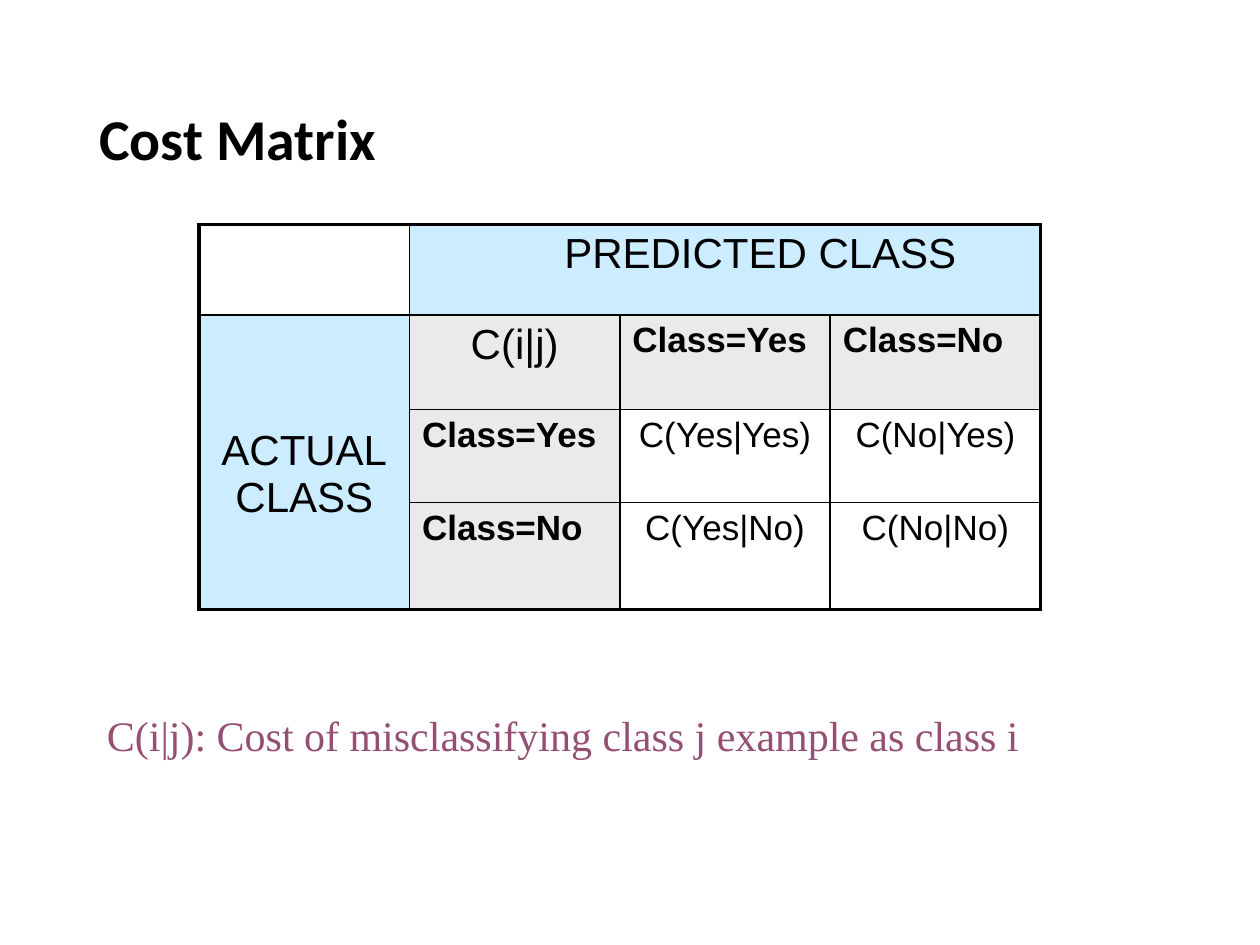
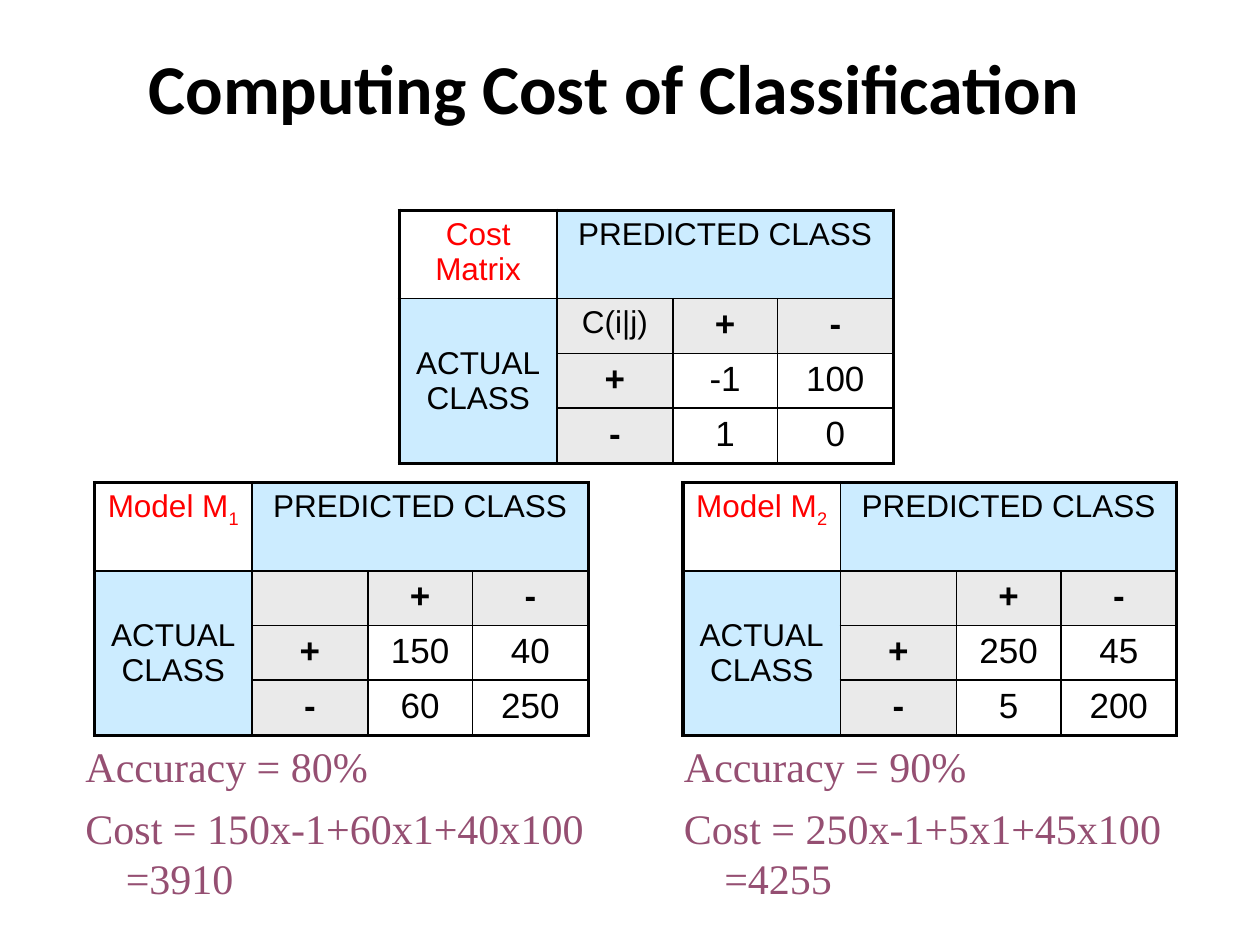
"""Builds two slides on cost matrices and the cost of classification."""
from lxml import etree
from pptx import Presentation
from pptx.dml.color import RGBColor
from pptx.enum import text
from pptx.oxml.ns import qn
from pptx.util import Inches, Pt

BLACK = RGBColor(0x00, 0x00, 0x00)
RED = RGBColor(0xFF, 0x00, 0x00)
PURPLE = RGBColor(0x95, 0x4F, 0x72)
CLASS_BLUE = RGBColor(0xCC, 0xEC, 0xFF)
HEADER_GRAY = RGBColor(0xEA, 0xEA, 0xEA)
TITLE_FONT, MATRIX_FONT, NOTE_FONT = "Calibri", "Arial", "Times New Roman"
OUTER, INNER = 2.25, 1
LEFT, CENTER = text.PP_ALIGN.LEFT, text.PP_ALIGN.CENTER
MIDDLE = text.MSO_ANCHOR.MIDDLE

SMALL_COLS = (1.25, 0.92, 0.83, 0.92)
SMALL_ROWS = (0.7, 0.43, 0.43, 0.44)


class Deck:
    """Holds the presentation, its style and the current slide."""

    def __init__(self):
        self.prs = Presentation()
        self.prs.slide_width, self.prs.slide_height = Inches(10), Inches(7.5)
        self.slide = None

    def new_slide(self):
        self.slide = self.prs.slides.add_slide(self.prs.slide_layouts[6])

    def run(self, paragraph, words, font, size, color=BLACK, bold=False):
        run = paragraph.add_run()
        run.text = words
        run.font.name, run.font.size = font, Pt(size)
        run.font.bold, run.font.color.rgb = bold, color
        return run

    def frame(self, left, top, width, height):
        box = self.slide.shapes.add_textbox(*map(Inches, (left, top, width, height)))
        box.text_frame.word_wrap = True
        return box.text_frame

    def title(self, words, size, *place):
        frame = self.frame(*place)
        frame.vertical_anchor = MIDDLE
        heading = frame.paragraphs[0]
        heading.line_spacing = 0.9
        self.run(heading, words, TITLE_FONT, size, bold=True)

    def notes(self, lines, *place):
        frame = self.frame(*place)
        for index, line in enumerate(lines):
            note = frame.add_paragraph() if index else frame.paragraphs[0]
            note.space_before, note.space_after = Pt(2.4), Pt(4)
            hanging = note._p.get_or_add_pPr()
            hanging.set("marL", str(Inches(0.32)))
            hanging.set("indent", str(-Inches(0.32)))
            self.run(note, line, NOTE_FONT, 24, PURPLE)

    def borders(self, cell, row, col):
        last_row = row + cell.span_height - 1 if cell.is_merge_origin else row
        last_col = col + cell.span_width - 1 if cell.is_merge_origin else col
        outside = {"L": col == 0, "R": last_col == 3, "T": row == 0, "B": last_row == 3}
        properties = cell._tc.get_or_add_tcPr()
        for index, (side, outer) in enumerate(outside.items()):
            line = etree.Element(qn(f"a:ln{side}"), w=str(Pt(OUTER if outer else INNER)))
            fill = etree.SubElement(line, qn("a:solidFill"))
            etree.SubElement(fill, qn("a:srgbClr"), val=str(BLACK))
            properties.insert(index, line)

    def matrix(self, left, top, cols, rows, grid, label_size, corner="", subscript="",
               corner_label="", header_align=CENTER):
        """Draws a 4 by 4 class matrix; grid maps each actual class to its values."""
        table = self.slide.shapes.add_table(
            4, 4, *map(Inches, (left, top, sum(cols), sum(rows)))).table
        table.first_row = table.horz_banding = False
        for column, width in zip(table.columns, cols):
            column.width = Inches(width)
        for line, height in zip(table.rows, rows):
            line.height = Inches(height)
        predicted, actual = table.cell(0, 1), table.cell(1, 0)
        predicted.merge(table.cell(0, 3))
        actual.merge(table.cell(3, 0))

        for row in range(4):
            for col in range(4):
                cell = table.cell(row, col)
                if row and col and 1 in (row, col):
                    cell.fill.solid()
                    cell.fill.fore_color.rgb = HEADER_GRAY
                elif row == col == 0 or row and col:
                    cell.fill.background()
                else:
                    cell.fill.solid()
                    cell.fill.fore_color.rgb = CLASS_BLUE
                self.borders(cell, row, col)

        def write(cell, words, size, align=CENTER, **style):
            paragraph = cell.text_frame.paragraphs[0]
            paragraph.alignment = align
            for index, part in enumerate(words.split("\n")):
                if index:
                    paragraph.add_line_break()
                self.run(paragraph, part, MATRIX_FONT, size, **style)
            return paragraph

        if corner:
            name = write(table.cell(0, 0), corner, label_size, color=RED)
            if subscript:
                index = self.run(name, subscript, MATRIX_FONT, label_size, RED)
                index.font._element.set("baseline", "-25000")
        write(predicted, "PREDICTED CLASS", label_size)
        write(actual, "ACTUAL\nCLASS", label_size)
        actual.vertical_anchor = MIDDLE
        if corner_label:
            write(table.cell(1, 1), corner_label, label_size)
        for index, (name, values) in enumerate(grid.items(), start=2):
            for header in (table.cell(1, index), table.cell(index, 1)):
                write(header, name, 20, header_align, bold=True)
            for col, value in enumerate(values, start=2):
                write(table.cell(index, col), value, 20)
        return predicted, actual


def main():
    deck = Deck()

    deck.new_slide()
    deck.title("Cost Matrix", 33, 0.69, 0.4, 8.62, 1.45)
    predicted, actual = deck.matrix(
        1.58, 1.78, (1.67,) * 4, (0.72, 0.75, 0.74, 0.85),
        {"Class=Yes": ("C(Yes|Yes)", "C(No|Yes)"), "Class=No": ("C(Yes|No)", "C(No|No)")},
        24, corner_label="C(i|j)", header_align=LEFT)
    predicted.margin_left = Inches(0.66)
    actual.margin_top = Inches(0.24)
    deck.notes(["C(i|j): Cost of misclassifying class j example as class i"],
               0.75, 5.58, 8.58, 1)

    deck.new_slide()
    deck.title("Computing Cost of Classification", 40, 1.08, 0.25, 8.25, 0.96)
    deck.matrix(3.17, 1.67, SMALL_COLS, SMALL_ROWS, {"+": ("-1", "100"), "-": ("1", "0")},
                18, "Cost Matrix", corner_label="C(i|j)")
    models = (
        ("1", 0.75, {"+": ("150", "40"), "-": ("60", "250")},
         ["Accuracy = 80%", "Cost = 150x-1+60x1+40x100 =3910"], 0.58, 4.58),
        ("2", 5.42, {"+": ("250", "45"), "-": ("5", "200")},
         ["Accuracy = 90%", "Cost = 250x-1+5x1+45x100 =4255"], 5.33, 4.67),
    )
    for number, left, counts, results, results_left, results_width in models:
        deck.matrix(left, 3.83, SMALL_COLS, SMALL_ROWS, counts, 18, "Model M", number)
        deck.notes(results, results_left, 5.83, results_width, 1.08)

    deck.prs.save("out.pptx")


if __name__ == "__main__":
    main()
